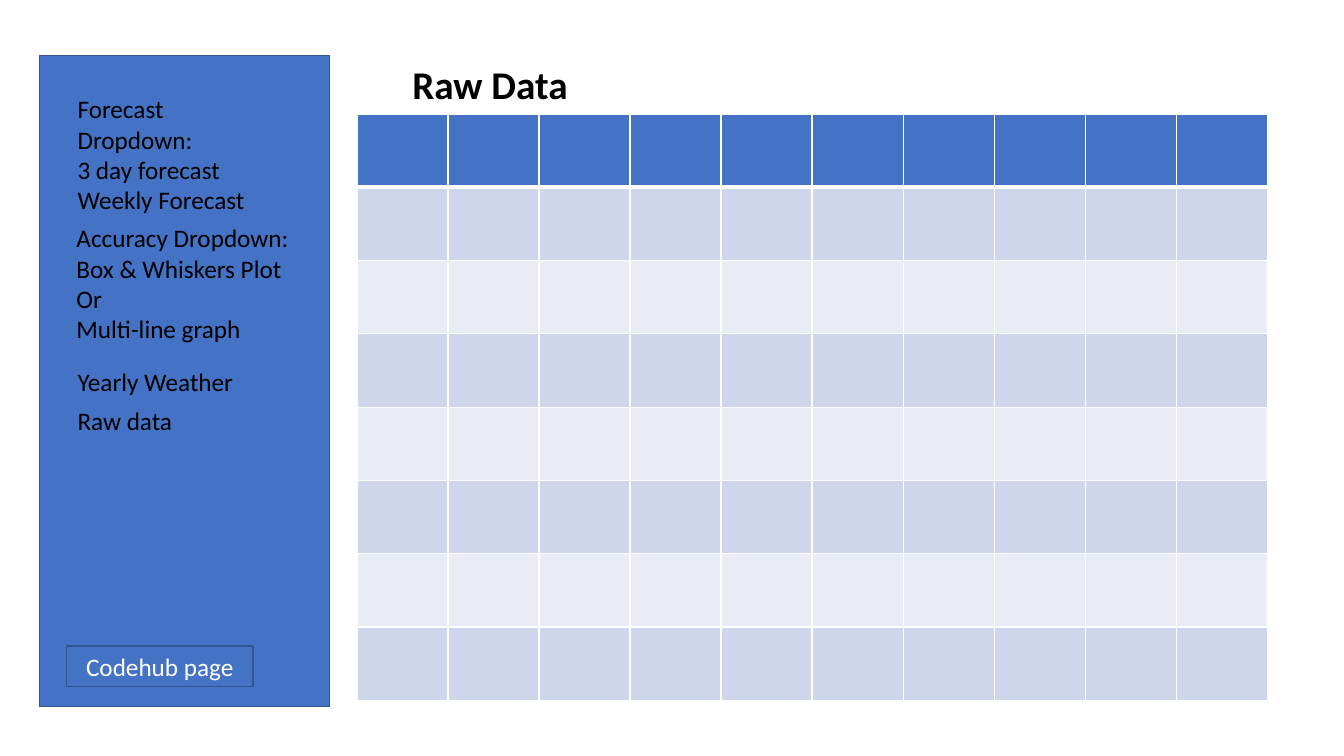
import pptx
import pptx.dml.color
import pptx.enum.shapes
import pptx.enum.text
import pptx.oxml.ns
import pptx.util
import lxml.etree

COLORS = {"blue": "4472C4", "outline": "325491", "band": "CFD5EA",
          "light_band": "E9EBF5", "white": "FFFFFF", "black": "000000"}
FONT = "Calibri"
WIDTH, HEIGHT = pptx.util.Inches(13.33), pptx.util.Inches(7.5)
TABLE_ROWS, TABLE_COLS = 8, 10


def rgb(name):
    return pptx.dml.color.RGBColor.from_string(COLORS[name])


def place(left, top, width, height):
    """Turn percentages of the slide's size into lengths."""
    return [int(share * size / 100) for share, size in
            ((left, WIDTH), (top, HEIGHT), (width, WIDTH), (height, HEIGHT))]


def write(tf, lines, color="black", size=18, bold=False, align="LEFT", anchor="TOP"):
    tf.word_wrap = True
    tf.auto_size = pptx.enum.text.MSO_AUTO_SIZE.NONE
    tf.vertical_anchor = pptx.enum.text.MSO_ANCHOR[anchor]
    tf.text = "\n".join(lines)
    for p in tf.paragraphs:
        p.alignment = pptx.enum.text.PP_ALIGN[align]
        p.font.name = FONT
        p.font.size = pptx.util.Pt(size)
        p.font.bold = bold
        p.font.color.rgb = rgb(color)


def add_title(s, text, box):
    sp = s.shapes.title
    sp.left, sp.top, sp.width, sp.height = place(*box)
    write(sp.text_frame, [text], size=28, bold=True)


def add_box(s, box):
    sp = s.shapes.add_shape(pptx.enum.shapes.MSO_SHAPE.RECTANGLE, *place(*box))
    sp.shadow.inherit = False
    sp.fill.solid()
    sp.fill.fore_color.rgb = rgb("blue")
    sp.line.color.rgb = rgb("outline")
    sp.line.width = pptx.util.Pt(1)
    return sp


def add_text(s, lines, box):
    write(s.shapes.add_textbox(*place(*box)).text_frame, lines)


def set_border(cell, side, points):
    qn = pptx.oxml.ns.qn
    ln = lxml.etree.SubElement(cell._tc.get_or_add_tcPr(), qn("a:ln" + side),
                               w=str(pptx.util.Pt(points)))
    fill = lxml.etree.SubElement(ln, qn("a:solidFill"))
    lxml.etree.SubElement(fill, qn("a:srgbClr"), val=COLORS["white"])


def add_banded_table(s, box):
    table = s.shapes.add_table(TABLE_ROWS, TABLE_COLS, *place(*box)).table
    for i, row in enumerate(table.rows):
        color = "blue" if i == 0 else "band" if i % 2 else "light_band"
        for cell in row.cells:
            for side in "LRTB":
                header_edge = (i, side) in ((0, "B"), (1, "T"))
                set_border(cell, side, 3 if header_edge else 1)
            cell.fill.solid()
            cell.fill.fore_color.rgb = rgb(color)


def main():
    prs = pptx.Presentation()
    prs.slide_width, prs.slide_height = WIDTH, HEIGHT
    s = prs.slides.add_slide(prs.slide_layouts.get_by_name("Title Only"))

    add_box(s, (2.93, 7.33, 21.61, 86.13))
    add_text(s, ["Accuracy Dropdown: Box & Whiskers Plot", "Or", "Multi-line graph"],
             (4.95, 28.8, 17.4, 17.47))
    add_text(s, ["Yearly Weather"], (5.03, 47.73, 17.4, 5.33))
    button = add_box(s, (4.95, 85.47, 13.88, 5.33))
    write(button.text_frame, ["Codehub page"], "white", align="CENTER", anchor="MIDDLE")
    add_text(s, ["Raw data"], (5.03, 52.93, 17.4, 5.33))
    add_text(s, ["Forecast Dropdown:", "3 day forecast", "Weekly Forecast"],
             (5.03, 11.73, 14.7, 17.47))

    add_title(s, "Raw Data", (29.93, 7.33, 34.28, 7.6))
    add_banded_table(s, (26.56, 15.07, 67.74, 77.6))
    prs.save("out.pptx")


if __name__ == "__main__":
    main()
